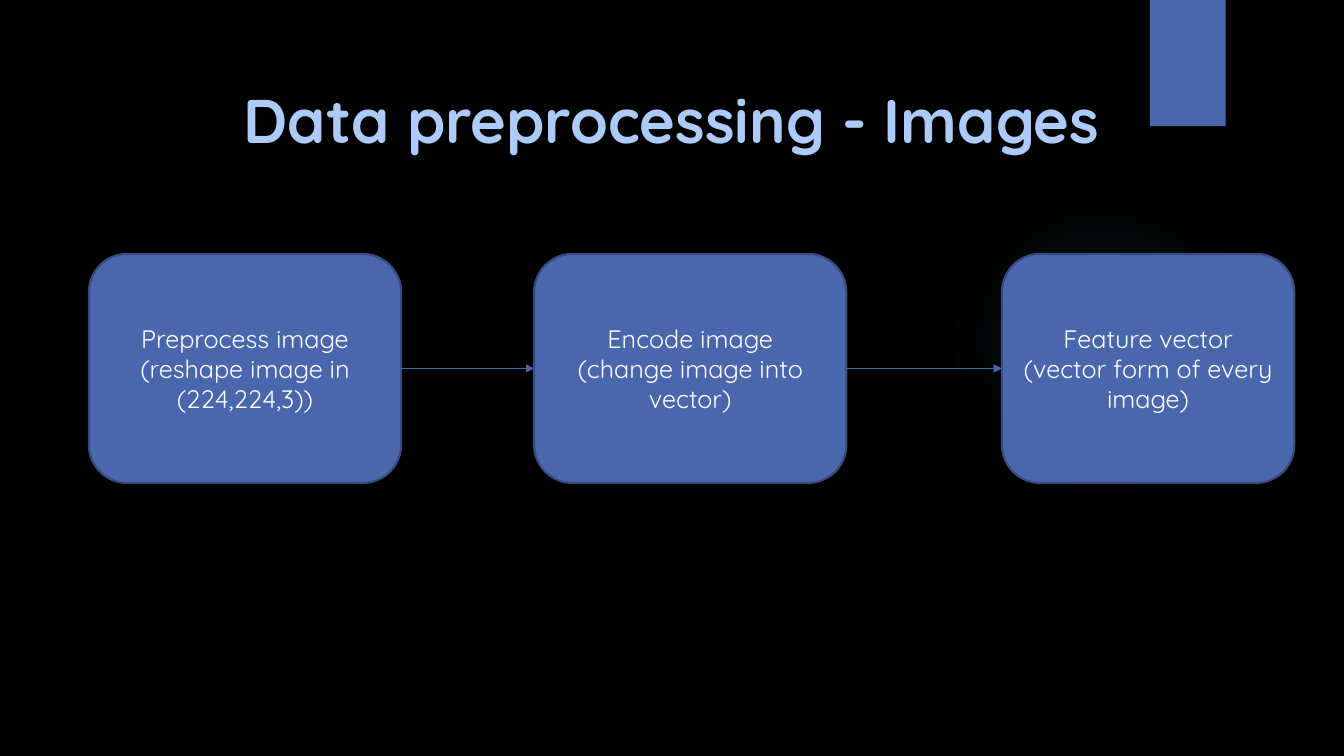
"""Build the slide on preprocessing image data."""
import dataclasses

import pptx
import pptx.dml.color
import pptx.enum.shapes
import pptx.enum.text
import pptx.oxml
import pptx.oxml.ns
import pptx.util
from pptx.util import Cm

SHAPES = pptx.enum.shapes.MSO_SHAPE
RIGHT_SITE, LEFT_SITE = 3, 1


@dataclasses.dataclass(frozen=True)
class Theme:
    """Hold the colours, font and sizes of the slide."""
    background: str = "000000"
    accent: str = "4A66AC"
    border: str = "374B7F"
    heading: str = "ACCBF9"
    body: str = "FFFFFF"
    glow: str = "5AA2AE"
    glow_stops: tuple = ((0, 7), (36, 6), (69, 0))
    font: str = "Quicksand"
    heading_size: int = 44
    body_size: int = 18
    border_width: float = 1.5
    arrow_width: float = 0.75


THEME = Theme()

STEPS = (
    ("Preprocess image\n(reshape image in (224,224,3))", 2.24, 7.87),
    ("Encode image\n(change image into vector)", 13.46, 7.87),
    ("Feature vector\n(vector form of every image)", 25.25, 7.37),
)
STEP_TOP, STEP_HEIGHT = 6.4, 5.77


def rgb(colour):
    """Return a colour object for a hex value."""
    return pptx.dml.color.RGBColor.from_string(colour)


def format_text(frame, size, colour, align, bold=False):
    """Apply one style to all the text in a frame."""
    for paragraph in frame.paragraphs:
        paragraph.alignment = align
        for run in paragraph.runs:
            run.font.name = THEME.font
            run.font.size = pptx.util.Pt(size)
            run.font.bold = bold
            run.font.color.rgb = rgb(colour)


def add_block(slide, kind, left, top, width, height):
    """Add an accent-coloured shape without outline or shadow."""
    block = slide.shapes.add_shape(kind, Cm(left), Cm(top), Cm(width), Cm(height))
    block.shadow.inherit = False
    block.fill.solid()
    block.fill.fore_color.rgb = rgb(THEME.accent)
    block.line.fill.background()
    return block


def add_glow(slide, left, top, diameter):
    """Add a faint circle that fades from its centre."""
    glow = add_block(slide, SHAPES.OVAL, left, top, diameter, diameter)
    stops = "".join(
        f'<a:gs pos="{position * 1000}"><a:srgbClr val="{THEME.glow}">'
        f'<a:alpha val="{opacity * 1000}"/></a:srgbClr></a:gs>'
        for position, opacity in THEME.glow_stops
    )
    gradient = pptx.oxml.parse_xml(
        f'<a:gradFill {pptx.oxml.ns.nsdecls("a")}><a:gsLst>{stops}</a:gsLst>'
        '<a:path path="circle"><a:fillToRect l="50000" t="50000" r="50000" b="50000"/>'
        '</a:path></a:gradFill>'
    )
    properties = glow._element.spPr
    properties.replace(properties.find(pptx.oxml.ns.qn("a:solidFill")), gradient)


def set_heading(slide, text):
    """Place and format the slide title."""
    heading = slide.shapes.title
    heading.left, heading.top = Cm(5.89), Cm(1.93)
    heading.width, heading.height = Cm(22.58), Cm(2.13)
    frame = heading.text_frame
    frame.text = text
    frame.word_wrap = False
    frame.auto_size = pptx.enum.text.MSO_AUTO_SIZE.SHAPE_TO_FIT_TEXT
    frame.vertical_anchor = pptx.enum.text.MSO_ANCHOR.TOP
    format_text(frame, THEME.heading_size, THEME.heading,
                pptx.enum.text.PP_ALIGN.LEFT, bold=True)


def add_step(slide, text, left, width):
    """Add one rounded box of the process."""
    step = add_block(slide, SHAPES.ROUNDED_RECTANGLE, left, STEP_TOP, width, STEP_HEIGHT)
    step.line.color.rgb = rgb(THEME.border)
    step.line.width = pptx.util.Pt(THEME.border_width)
    frame = step.text_frame
    frame.text = text
    frame.word_wrap = True
    frame.vertical_anchor = pptx.enum.text.MSO_ANCHOR.MIDDLE
    format_text(frame, THEME.body_size, THEME.body, pptx.enum.text.PP_ALIGN.CENTER)
    return step


def add_arrow(slide, source, target):
    """Join two steps with an arrow."""
    arrow = slide.shapes.add_connector(pptx.enum.shapes.MSO_CONNECTOR.STRAIGHT, 0, 0, 0, 0)
    arrow.begin_connect(source, RIGHT_SITE)
    arrow.end_connect(target, LEFT_SITE)
    arrow.line.color.rgb = rgb(THEME.accent)
    arrow.line.width = pptx.util.Pt(THEME.arrow_width)
    namespace = pptx.oxml.ns.nsdecls("a")
    arrow.line._get_or_add_ln().append(
        pptx.oxml.parse_xml(f'<a:tailEnd {namespace} type="triangle"/>'))
    arrow._element.spPr.append(pptx.oxml.parse_xml(f"<a:effectLst {namespace}/>"))


def main():
    """Build and save the slide."""
    presentation = pptx.Presentation()
    presentation.slide_width, presentation.slide_height = Cm(33.87), Cm(19.05)
    slide = presentation.slides.add_slide(presentation.slide_layouts.get_by_name("Title Only"))
    slide.background.fill.solid()
    slide.background.fill.fore_color.rgb = rgb(THEME.background)

    add_glow(slide, 23.9, 4.65, 7.82)
    add_block(slide, SHAPES.RECTANGLE, 28.98, 0, 1.91, 3.18)
    set_heading(slide, "Data preprocessing - Images")
    steps = [add_step(slide, *step) for step in STEPS]
    for source, target in zip(steps, steps[1:]):
        add_arrow(slide, source, target)

    presentation.save("out.pptx")


if __name__ == "__main__":
    main()
